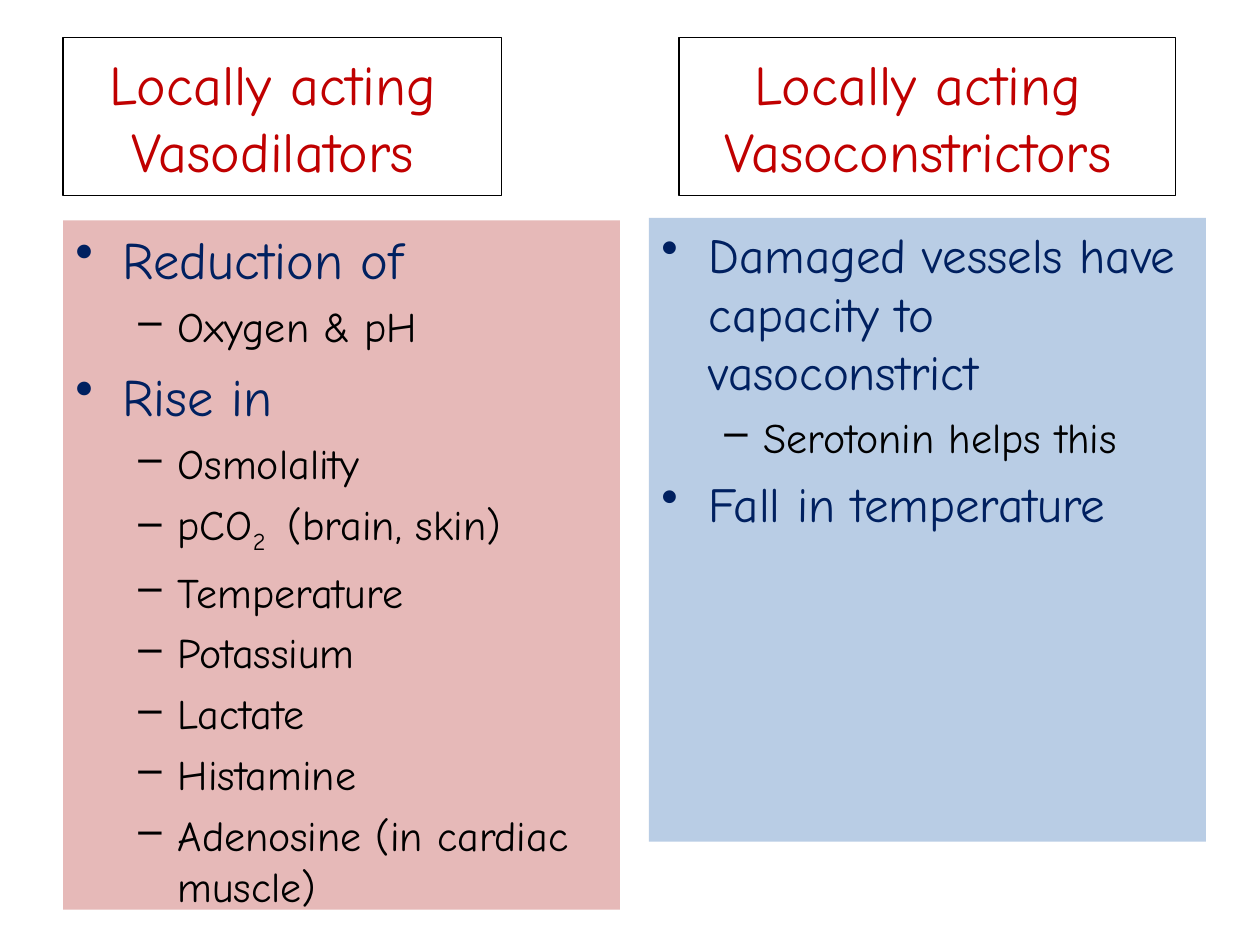
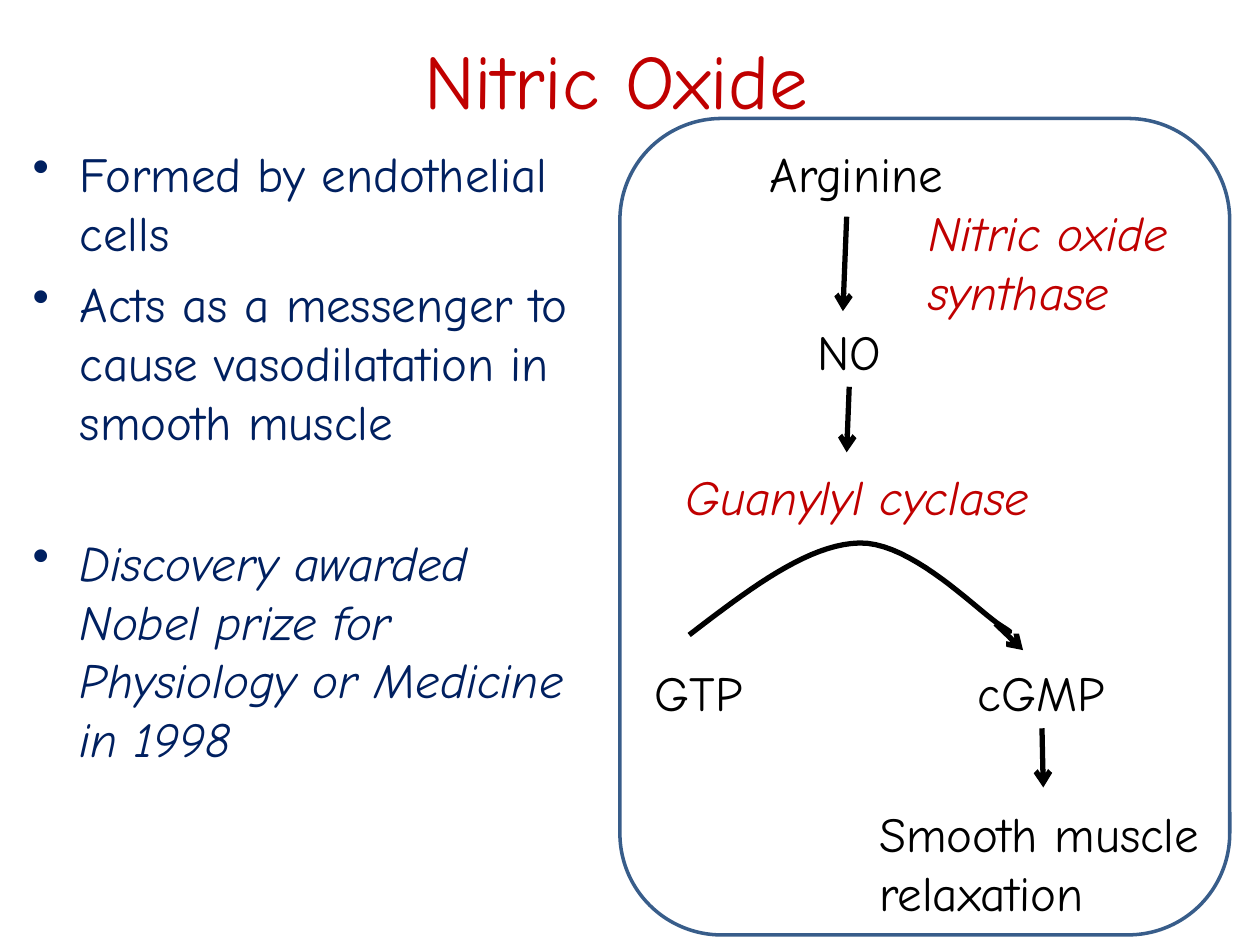
from lxml.etree import SubElement
from pptx import Presentation
from pptx.dml.color import RGBColor
from pptx.enum.shapes import MSO_CONNECTOR as CONNECTOR, MSO_SHAPE as SHAPE
from pptx.enum.text import MSO_ANCHOR as ANCHOR, PP_ALIGN as ALIGN
from pptx.oxml.ns import qn
from pptx.util import Inches, Pt

# The slide is a grid of 100 columns by 75 rows of square cells
COLUMNS, ROWS = 100, 75
CELL = Inches(0.1)
FONT = "Comic Neue"
COLORS = {
    "title": "C00000", "bullet": "002060", "text": "000000", "white": "FFFFFF",
    "dilator": "E6B9B8", "constrictor": "B9CDE5", "frame": "385D8A",
}
# Marker, left margin and hanging indent (in cells) of each bullet level
LEVELS = [
    {"marker": "•", "margin": 3.75, "hang": 3.75, "color": "bullet"},
    {"marker": "–", "margin": 8.12, "hang": 3.12, "color": "text"},
]


def cells(*lengths):
    return [round(length * CELL) for length in lengths]


def rgb(name):
    return RGBColor.from_string(COLORS[name])


def apply(target, **values):
    for name, value in values.items():
        setattr(target, name, value)


def add_run(paragraph, text, size, color, italic=False):
    run = paragraph.add_run()
    run.text = text
    apply(run.font, name=FONT, size=Pt(size), italic=italic)
    run.font.color.rgb = rgb(color)
    return run


def add_box(slide, area, fill=None, line=None, width=0.75, kind=SHAPE.RECTANGLE):
    shape = slide.shapes.add_shape(kind, *cells(*area))
    shape.shadow.inherit = False
    if fill:
        shape.fill.solid()
        shape.fill.fore_color.rgb = rgb(fill)
    else:
        shape.fill.background()
    if line:
        shape.line.color.rgb = rgb(line)
        shape.line.width = Pt(width)
    else:
        shape.line.fill.background()
    apply(shape.text_frame, word_wrap=True, vertical_anchor=ANCHOR.TOP)
    return shape


def add_title(slide, area, lines, size, line=None):
    frame = add_box(slide, area, line=line).text_frame
    frame.vertical_anchor = ANCHOR.MIDDLE
    paragraph = frame.paragraphs[0]
    paragraph.alignment = ALIGN.CENTER
    for index, text in enumerate(lines):
        if index:
            paragraph.add_line_break()
        add_run(paragraph, text, size, "title")


def add_marker(paragraph, level):
    style = LEVELS[level]
    margin, hang = cells(style["margin"], style["hang"])
    properties = paragraph._p.get_or_add_pPr()
    properties.set("marL", str(margin))
    properties.set("indent", str(-hang))
    color = SubElement(properties, qn("a:buClr"))
    SubElement(color, qn("a:srgbClr")).set("val", COLORS[style["color"]])
    SubElement(properties, qn("a:buChar")).set("char", style["marker"])


def add_bullets(slide, area, items, sizes, fill=None):
    """Items are (level, text, format); text between bars is subscript."""
    frame = add_box(slide, area, fill).text_frame
    for index, (level, text, style) in enumerate(items):
        paragraph = frame.add_paragraph() if index else frame.paragraphs[0]
        add_marker(paragraph, level)
        paragraph.level = level
        gap = style.get("gap", sizes[level] / 4) if index else 0
        apply(paragraph, alignment=ALIGN.LEFT, space_before=Pt(gap))
        for part, piece in enumerate(text.split("|")):
            run = add_run(paragraph, piece, sizes[level], LEVELS[level]["color"],
                          style.get("italic", False))
            if part % 2:
                run._r.get_or_add_rPr().set("baseline", "-25000")


def add_label(slide, area, lines, enzyme=False, fill="white"):
    frame = add_box(slide, area, fill).text_frame
    frame.word_wrap = False
    for index, text in enumerate(lines):
        paragraph = frame.add_paragraph() if index else frame.paragraphs[0]
        paragraph.alignment = ALIGN.LEFT
        add_run(paragraph, text, 28, "title" if enzyme else "text", enzyme)


def add_arrow(slide, start, end):
    arrow = slide.shapes.add_connector(CONNECTOR.STRAIGHT, *cells(*start, *end))
    arrow.line.color.rgb = rgb("text")
    arrow.line.width = Pt(3)
    SubElement(arrow.line._get_or_add_ln(), qn("a:tailEnd")).set("type", "arrow")
    SubElement(arrow._element.spPr, qn("a:effectLst"))


def bezier(points, t):
    while len(points) > 1:
        points = [tuple(a + (b - a) * t for a, b in zip(p, q))
                  for p, q in zip(points, points[1:])]
    return points[0]


def add_curve(slide, knots, steps=20):
    """Each cubic segment takes three knots after the end of the last one."""
    points = [bezier(knots[first:first + 4], step / steps)
              for first in range(0, len(knots) - 1, 3)
              for step in range(1, steps + 1)]
    builder = slide.shapes.build_freeform(*cells(*knots[0]))
    builder.add_line_segments([cells(*point) for point in points], close=False)
    curve = builder.convert_to_shape()
    curve.shadow.inherit = False
    curve.fill.background()
    curve.line.color.rgb = rgb("text")
    curve.line.width = Pt(3)


def build_local_factors(slide):
    # Vasodilators
    add_title(slide, (5, 3, 34.8, 12.5), ["Locally acting ", "Vasodilators "], 32, "text")
    rises = ["Osmolality", "pCO|2 | (brain, skin)", "Temperature", "Potassium",
             "Lactate", "Histamine", "Adenosine (in cardiac muscle)"]
    dilators = [(0, "Reduction of", {}), (1, "Oxygen & pH", {}), (0, "Rise in", {})]
    dilators += [(1, rise, {}) for rise in rises]
    add_bullets(slide, (5, 17.5, 44.2, 54.7), dilators, (30, 24), "dilator")

    # Vasoconstrictors
    constrictors = [(0, "Damaged vessels have capacity to vasoconstrict", {}),
                    (1, "Serotonin helps this", {}),
                    (0, "Fall in temperature", {})]
    add_bullets(slide, (51.5, 17.3, 44.2, 49.5), constrictors, (28, 24), "constrictor")
    add_title(slide, (53.9, 3, 39.4, 12.5),
              ["Locally acting ", "Vasoconstrictors "], 32, "text")


def build_nitric_oxide(slide):
    add_title(slide, (3.9, 0, 90, 12.5), ["Nitric Oxide"], 44)
    facts = [
        (0, "Formed by endothelial cells", {}),
        (0, "Acts as a messenger to cause vasodilatation in smooth muscle", {}),
        (0, "Discovery awarded Nobel prize for Physiology or Medicine in 1998",
         {"italic": True, "gap": 47}),
    ]
    add_bullets(slide, (1.6, 10.9, 46.1, 60.9), facts, (28, 24))

    # Signalling pathway
    add_box(slide, (49.2, 9.4, 48.4, 64.8), "white", "frame", 2, SHAPE.ROUNDED_RECTANGLE)
    add_label(slide, (51, 52.1, 9, 5.7), ["GTP"])
    add_label(slide, (76.6, 52.1, 12.1, 5.7), ["cGMP"])
    add_curve(slide, [(54.7, 50.4), (59.4, 46.8), (64.1, 43.2), (68.2, 43.1),
                      (72.4, 43), (77.7, 48.6), (79.5, 49.7),
                      (81.2, 50.8), (79, 49.5), (79, 49.5)])
    add_label(slide, (53.4, 36.5, 29.3, 5.7), ["Guanylyl cyclase"], enzyme=True)
    add_label(slide, (63.9, 25, 7, 5.7), ["NO"])
    add_label(slide, (68.8, 63.3, 28.7, 10.4), ["Smooth muscle", "relaxation"], fill=None)
    add_label(slide, (60.1, 10.9, 15.8, 5.7), ["Arginine"])
    add_label(slide, (72.7, 15.6, 24.2, 10.4), ["Nitric oxide", "synthase"], enzyme=True)
    for start, end in [((67.2, 17.2), (66.9, 24.7)), ((67.4, 30.7), (67.2, 35.9)),
                       ((79, 49.5), (81.2, 51.6)), ((82.7, 57.8), (82.8, 62.5))]:
        add_arrow(slide, start, end)


def main():
    presentation = Presentation()
    presentation.slide_width, presentation.slide_height = cells(COLUMNS, ROWS)
    blank = presentation.slide_layouts[6]
    for build in (build_local_factors, build_nitric_oxide):
        build(presentation.slides.add_slide(blank))
    presentation.save("out.pptx")


if __name__ == "__main__":
    main()
